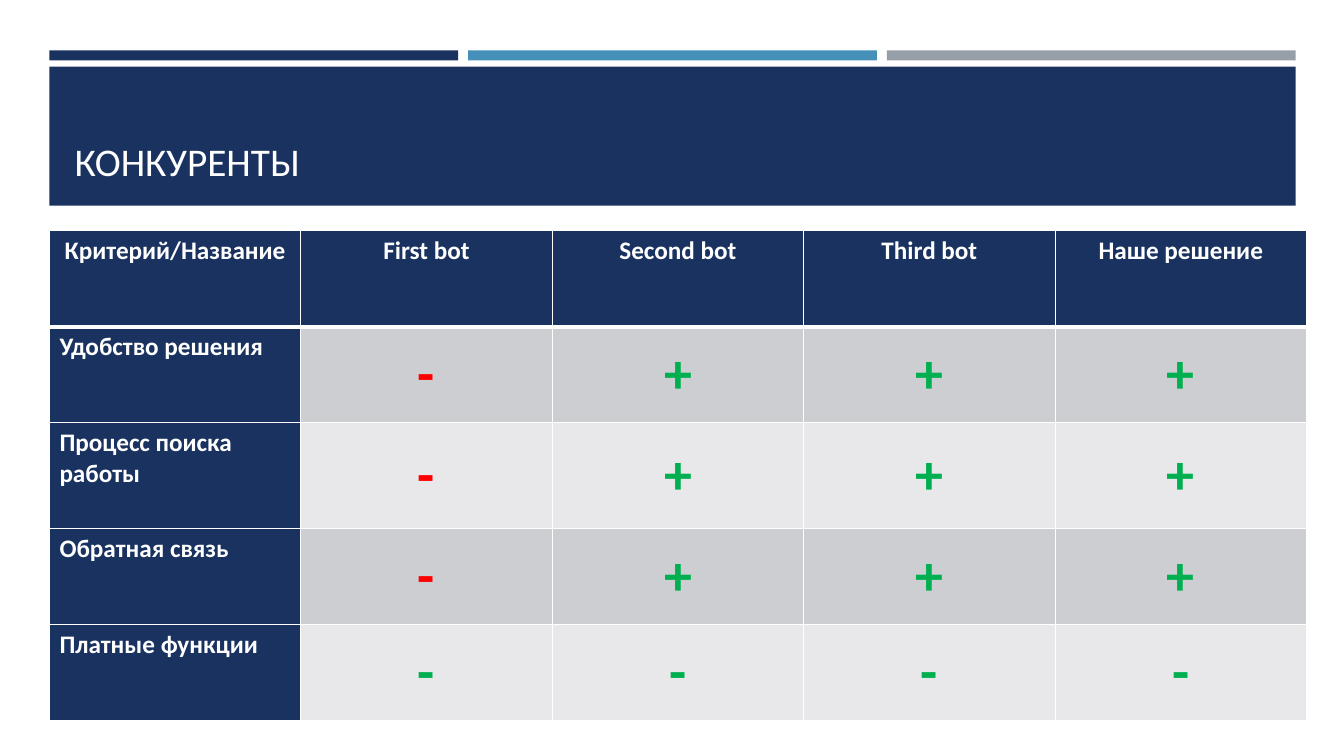
from dataclasses import dataclass

from lxml.etree import SubElement
from pptx import Presentation
from pptx.dml.color import RGBColor
from pptx.enum.shapes import MSO_SHAPE
from pptx.enum.text import MSO_ANCHOR, PP_ALIGN
from pptx.oxml.ns import qn
from pptx.util import Inches, Pt


@dataclass(frozen=True)
class Theme:
    """Colours, font and type sizes of the slide."""
    navy: str = "1A3260"
    blue: str = "4590B8"
    grey: str = "969FA7"
    white: str = "FFFFFF"
    bands: tuple = ("CDCED2", "E8E8EA")
    good: str = "00B050"
    bad: str = "FF0000"
    font: str = "Calibri"
    title: int = 28
    label: int = 18
    mark: int = 40


THEME = Theme()
HEADERS = ["Критерий/Название", "First bot", "Second bot", "Third bot", "Наше решение"]
# Criterion, marks per competitor, and the mark that counts as good
CRITERIA = [
    ("Удобство решения", "-+++", "+"),
    ("Процесс поиска\vработы", "-+++", "+"),
    ("Обратная связь", "-+++", "+"),
    ("Платные функции", "----", "-"),
]
ROW_HEIGHTS = [0.95, 0.95, 1.05, 0.95, 0.95]


def style_text(tf, size, color, bold, align):
    """Format every run of a text frame."""
    for p in tf.paragraphs:
        p.alignment = align
        for r in p.runs:
            r.font.name = THEME.font
            r.font.size = Pt(size)
            r.font.bold = bold
            r.font.color.rgb = RGBColor.from_string(color)


def add_block(slide, left, top, width, height, color):
    """Add a plain filled rectangle."""
    sp = slide.shapes.add_shape(MSO_SHAPE.RECTANGLE, Inches(left), Inches(top),
                                Inches(width), Inches(height))
    sp.shadow.inherit = False
    sp.fill.solid()
    sp.fill.fore_color.rgb = RGBColor.from_string(color)
    sp.line.fill.background()


def add_header(slide, left, top, width, height, text):
    """Place three accent bars, the banner below them and the title on it."""
    gap, bar_height, banner_top = 0.1, 0.1, 0.16
    bar_width = (width - 2 * gap) / 3
    for i, color in enumerate((THEME.navy, THEME.blue, THEME.grey)):
        add_block(slide, left + i * (bar_width + gap), top, bar_width, bar_height, color)
    add_block(slide, left, top + banner_top, width, height - banner_top, THEME.navy)

    title = slide.shapes.title
    title.left, title.top = Inches(left + 0.15), Inches(top + 0.3)
    title.width, title.height = Inches(width - 0.3), Inches(height - 0.46)
    tf = title.text_frame
    tf.text = text
    tf.vertical_anchor = MSO_ANCHOR.BOTTOM
    style_text(tf, THEME.title, THEME.white, False, PP_ALIGN.LEFT)
    slide.shapes._spTree.append(title._element)  # bring in front of the banner


def set_borders(cell, top, bottom):
    """Draw white cell borders; top and bottom widths are in points."""
    tc_pr = cell._tc.get_or_add_tcPr()
    for side, width in (("L", 1), ("R", 1), ("T", top), ("B", bottom)):
        ln = SubElement(tc_pr, qn(f"a:ln{side}"), w=str(Pt(width)))
        SubElement(SubElement(ln, qn("a:solidFill")), qn("a:srgbClr"), val=THEME.white)


def fill_cell(cell, row, text, fill, size, color, bold=True, align=PP_ALIGN.CENTER):
    """Write one table cell with its borders, fill and text."""
    set_borders(cell, 3 if row == 1 else 1, 3 if row == 0 else 1)
    cell.fill.solid()
    cell.fill.fore_color.rgb = RGBColor.from_string(fill)
    cell.text_frame.text = text
    style_text(cell.text_frame, size, color, bold, align)


def add_comparison(slide, left, top, width, height):
    """Add the table that compares competitors by criterion."""
    table = slide.shapes.add_table(len(ROW_HEIGHTS), len(HEADERS), Inches(left), Inches(top),
                                   Inches(width), Inches(height)).table
    for row, row_height in zip(table.rows, ROW_HEIGHTS):
        row.height = Inches(height * row_height / sum(ROW_HEIGHTS))
    for col, name in enumerate(HEADERS):
        fill_cell(table.cell(0, col), 0, name, THEME.navy, THEME.label, THEME.white)
    for row, (criterion, marks, good) in enumerate(CRITERIA, 1):
        fill_cell(table.cell(row, 0), row, criterion, THEME.navy, THEME.label,
                  THEME.white, align=PP_ALIGN.LEFT)
        for col, mark in enumerate(marks, 1):
            cell = table.cell(row, col)
            fill_cell(cell, row, mark, THEME.bands[(row - 1) % 2], THEME.mark,
                      THEME.good if mark == good else THEME.bad)
            cell.vertical_anchor = MSO_ANCHOR.MIDDLE


def build_slide(prs):
    """Build the competitors slide."""
    slide = prs.slides.add_slide(prs.slide_layouts[5])
    add_header(slide, 0.49, 0.5, 12.36, 1.54, "КОНКУРЕНТЫ")
    add_comparison(slide, 0.49, 2.29, 12.47, 4.86)


prs = Presentation()
prs.slide_width, prs.slide_height = Inches(13.33), Inches(7.5)
build_slide(prs)
prs.save("out.pptx")
